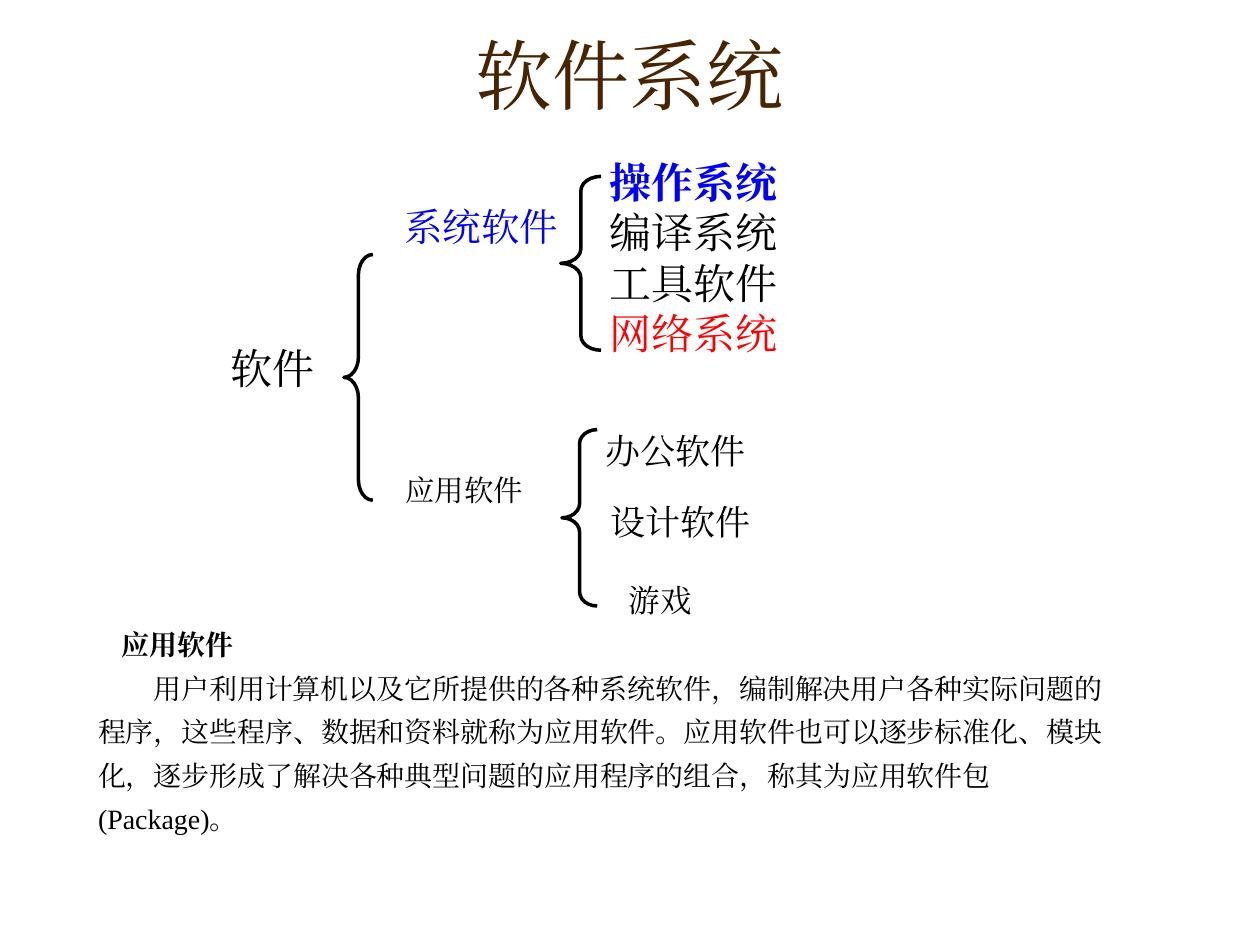
from dataclasses import dataclass

from lxml import etree
from pptx import Presentation
from pptx.dml.color import RGBColor
from pptx.enum.shapes import MSO_SHAPE
from pptx.enum.text import MSO_ANCHOR, PP_ALIGN
from pptx.oxml.ns import qn
from pptx.slide import Slide
from pptx.util import Inches, Pt

LEFT_BRACE = MSO_SHAPE.LEFT_BRACE
TOP, BOTTOM = MSO_ANCHOR.TOP, MSO_ANCHOR.BOTTOM
LEFT, CENTER, JUSTIFY = PP_ALIGN.LEFT, PP_ALIGN.CENTER, PP_ALIGN.JUSTIFY
SANS, SERIF = "Noto Sans CJK SC", "Times New Roman"
BLACK, BLUE, RED, BROWN = "000000", "0000FF", "FF0000", "482400"


def colour(code):
    return RGBColor.from_string(code)


@dataclass
class SlideWriter:
    """Adds text and braces in one style to the current slide."""

    page: Slide
    line_width: float = 2

    def text(self, left, top, width, height, margins=(0.1, 0.05), anchor=TOP, wrap=True):
        box = self.page.shapes.add_textbox(
            Inches(left), Inches(top), Inches(width), Inches(height))
        frame = box.text_frame
        frame.word_wrap = wrap
        frame.vertical_anchor = anchor
        frame.margin_left = frame.margin_right = Inches(margins[0])
        frame.margin_top = frame.margin_bottom = Inches(margins[1])
        return frame

    def paragraph(self, frame, words, size, code=BLACK, font=SANS, bold=False,
                  align=JUSTIFY, spacing=1.0, indent=0):
        para = frame.paragraphs[0]
        if para.runs:
            para = frame.add_paragraph()
        para.alignment = align
        para.line_spacing = spacing
        if indent:
            properties = para._p.get_or_add_pPr()
            properties.set("marL", "0")
            properties.set("indent", str(Inches(indent)))
        span = para.add_run()
        span.text = words
        span.font.size = Pt(size)
        span.font.bold = bold
        span.font.color.rgb = colour(code)
        span.font.name = font
        east_asian = etree.SubElement(span.font._element, qn("a:ea"))
        east_asian.set("typeface", SERIF)

    def brace(self, left, top, width, height, curve):
        shape = self.page.shapes.add_shape(
            LEFT_BRACE, Inches(left), Inches(top), Inches(width), Inches(height))
        shape.shadow.inherit = False
        shape.fill.background()
        shape.line.color.rgb = colour(BLACK)
        shape.line.width = Pt(self.line_width)
        shape.adjustments[0] = curve
        shape.adjustments[1] = 0.5


def main():
    deck = Presentation()
    deck.slide_width, deck.slide_height = Inches(10), Inches(7.5)
    writer = SlideWriter(deck.slides.add_slide(deck.slide_layouts[6]))

    title = writer.text(0.75, 0.28, 8.5, 0.72, anchor=BOTTOM)
    writer.paragraph(title, "软件系统", 44, BROWN, SERIF, align=CENTER)

    system_kinds = writer.text(4.84, 1.24, 1.5, 1.65, margins=(0, 0))
    for words, code, bold in (
        ("操作系统", BLUE, True),
        ("编译系统", BLACK, False),
        ("工具软件", BLACK, False),
        ("网络系统", RED, False),
    ):
        writer.paragraph(system_kinds, words, 24, code, bold=bold)

    root = writer.text(1.83, 2.72, 1.21, 0.52, margins=(0, 0))
    writer.paragraph(root, "软件", 24)

    for brace in (
        (4.45, 1.4, 0.32, 1.38, 0.36),
        (2.73, 2.02, 0.23, 1.95, 0.7),
        (4.46, 3.41, 0.28, 1.4, 0.4),
    ):
        writer.brace(*brace)

    system_branch = writer.text(3.11, 1.56, 1.44, 0.94)
    writer.paragraph(system_branch, "系统软件", 22, BLUE)
    application_branch = writer.text(3.12, 3.75, 1.14, 0.49)
    writer.paragraph(application_branch, "应用软件", 16.8, spacing=0.8)

    for words, size, place, wrap in (
        ("游戏", 18, (4.89, 4.56, 2.28, 0.4), True),
        ("办公软件", 20, (4.71, 3.36, 1.31, 0.44), False),
        ("设计软件", 20, (4.75, 3.92, 1.37, 0.44), False),
    ):
        writer.paragraph(writer.text(*place, wrap=wrap), words, size, align=LEFT)

    definition = writer.text(0.68, 4.85, 8.37, 1.49)
    for words, bold, indent in (
        ("应用软件", True, 0.19),
        ("用户利用计算机以及它所提供的各种系统软件，编制解决用户各种实际问题的程序，"
         "这些程序、数据和资料就称为应用软件。应用软件也可以逐步标准化、模块化，"
         "逐步形成了解决各种典型问题的应用程序的组合，称其为应用软件包(Package)。", False, 0.44),
    ):
        writer.paragraph(definition, words, 16, font=SERIF, bold=bold,
                         align=LEFT, spacing=1.3, indent=indent)

    deck.save("out.pptx")


if __name__ == "__main__":
    main()
